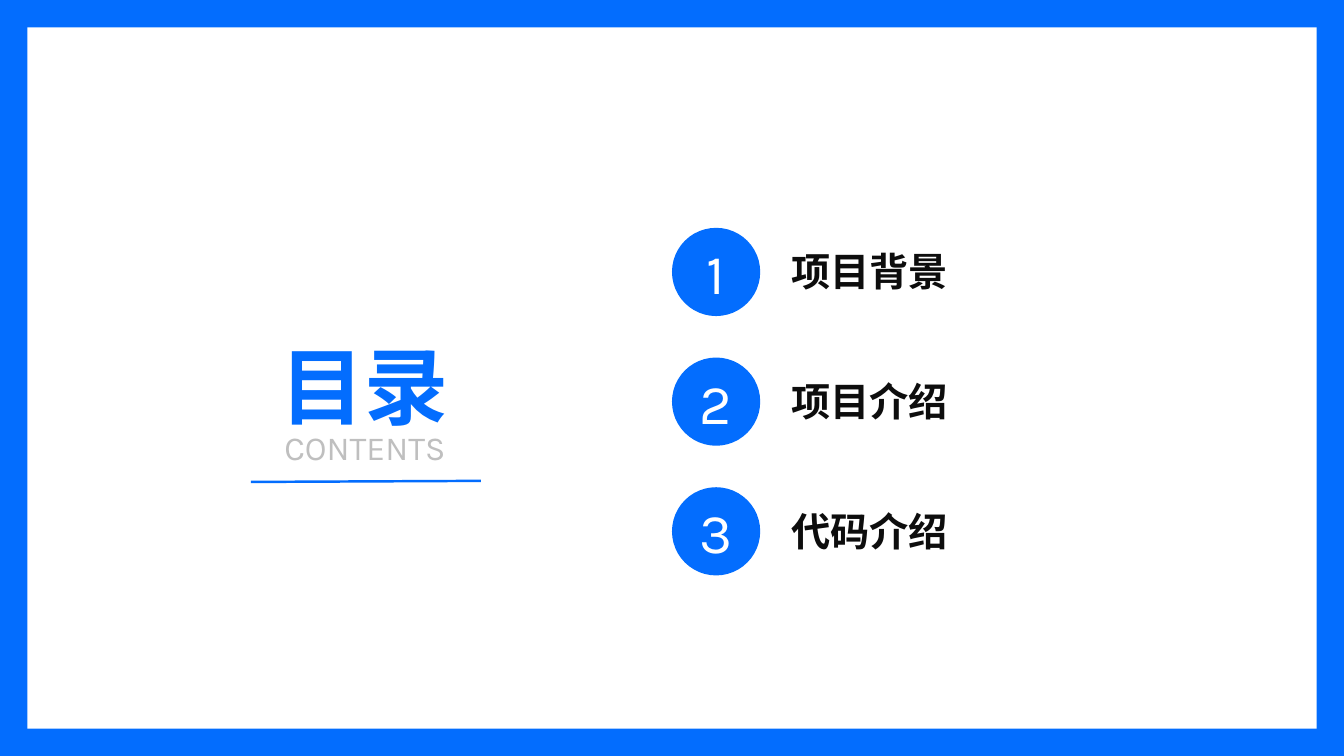
from pptx import Presentation
from pptx.dml.color import RGBColor
from pptx.enum.shapes import MSO_CONNECTOR, MSO_SHAPE
from pptx.enum.text import MSO_ANCHOR as ANCHOR, MSO_AUTO_SIZE as FIT, PP_ALIGN as ALIGN
from pptx.oxml.ns import qn
from pptx.util import Emu, Pt

BLUE, WHITE, GREY, BLACK = "036DFE", "FFFFFF", "BFBFBF", "0D0D0D"
TOPICS = ["项目背景", "项目介绍", "代码介绍"]


def px(n):
    return Emu(round(n * 9525))


def box(*lengths):
    return [px(n) for n in lengths]


def rgb(color):
    return RGBColor.from_string(color)


def write(shape, text, size, color, bold=False, align=ALIGN.LEFT, **frame):
    """Put one formatted line in a shape; extra arguments go to its text frame."""
    tf = shape.text_frame
    for name, value in {"word_wrap": True, **frame}.items():
        setattr(tf, name, value)
    p = tf.paragraphs[0]
    p.alignment = align
    r = p.add_run()
    r.text = text
    for name, value in {"name": "Karla", "size": Pt(size), "bold": bold}.items():
        setattr(r.font, name, value)
    r.font.color.rgb = rgb(color)


def add_filled(s, kind, color, *bounds):
    sp = s.shapes.add_shape(kind, *box(*bounds))
    sp.shadow.inherit = False
    sp.fill.solid()
    sp.fill.fore_color.rgb = rgb(color)
    sp.line.fill.background()
    return sp


def add_heading(s, x, y, w, h):
    """Place the title, its subtitle and the slightly rising underline."""
    subtitle = s.shapes.add_textbox(*box(x, y + 88, w, 48))
    write(subtitle, "CONTENTS", 24, GREY, align=ALIGN.CENTER,
          auto_size=FIT.SHAPE_TO_FIT_TEXT)

    line = s.shapes.add_connector(
        MSO_CONNECTOR.STRAIGHT, *box(x + 11, y + h, x + w - 9, y + h - 1))
    line.line.color.rgb = rgb(BLUE)
    line.line.width = Pt(1.75)
    sp_pr = line._element.spPr
    sp_pr.append(sp_pr.makeelement(qn("a:effectLst"), {}))

    title = s.shapes.title
    title.left, title.top, title.width, title.height = box(x + 25, y, w - 50, 106)
    write(title, "目录", 60, BLUE, True, ALIGN.CENTER,
          vertical_anchor=ANCHOR.TOP, auto_size=FIT.SHAPE_TO_FIT_TEXT)


def add_topics(s, x, y, w, h, disc=84):
    """Spread the numbered topics evenly over the height."""
    pitch = (h - disc) / (len(TOPICS) - 1)
    for i, topic in enumerate(TOPICS):
        top = y + i * pitch
        label = s.shapes.add_textbox(*box(x + 104, top + 14, w - 104, 55))
        write(label, topic, 28, BLACK, True, auto_size=FIT.SHAPE_TO_FIT_TEXT)
        number = add_filled(s, MSO_SHAPE.OVAL, BLUE, x, top, disc, disc)
        write(number, str(i + 1), 40, WHITE, align=ALIGN.CENTER,
              vertical_anchor=ANCHOR.MIDDLE)


def main():
    prs = Presentation()
    prs.slide_width, prs.slide_height = box(1280, 720)
    s = prs.slides.add_slide(prs.slide_layouts[5])
    s.background.fill.solid()
    s.background.fill.fore_color.rgb = rgb(BLUE)
    add_filled(s, MSO_SHAPE.RECTANGLE, WHITE, 26, 26, 1228, 668)
    add_heading(s, 228, 314, 239, 145)
    add_topics(s, 640, 217, 558, 331)
    # The title placeholder comes first in the tree, so lift it above the panel.
    s.shapes._spTree.append(s.shapes.title._element)
    prs.save("out.pptx")


if __name__ == "__main__":
    main()
